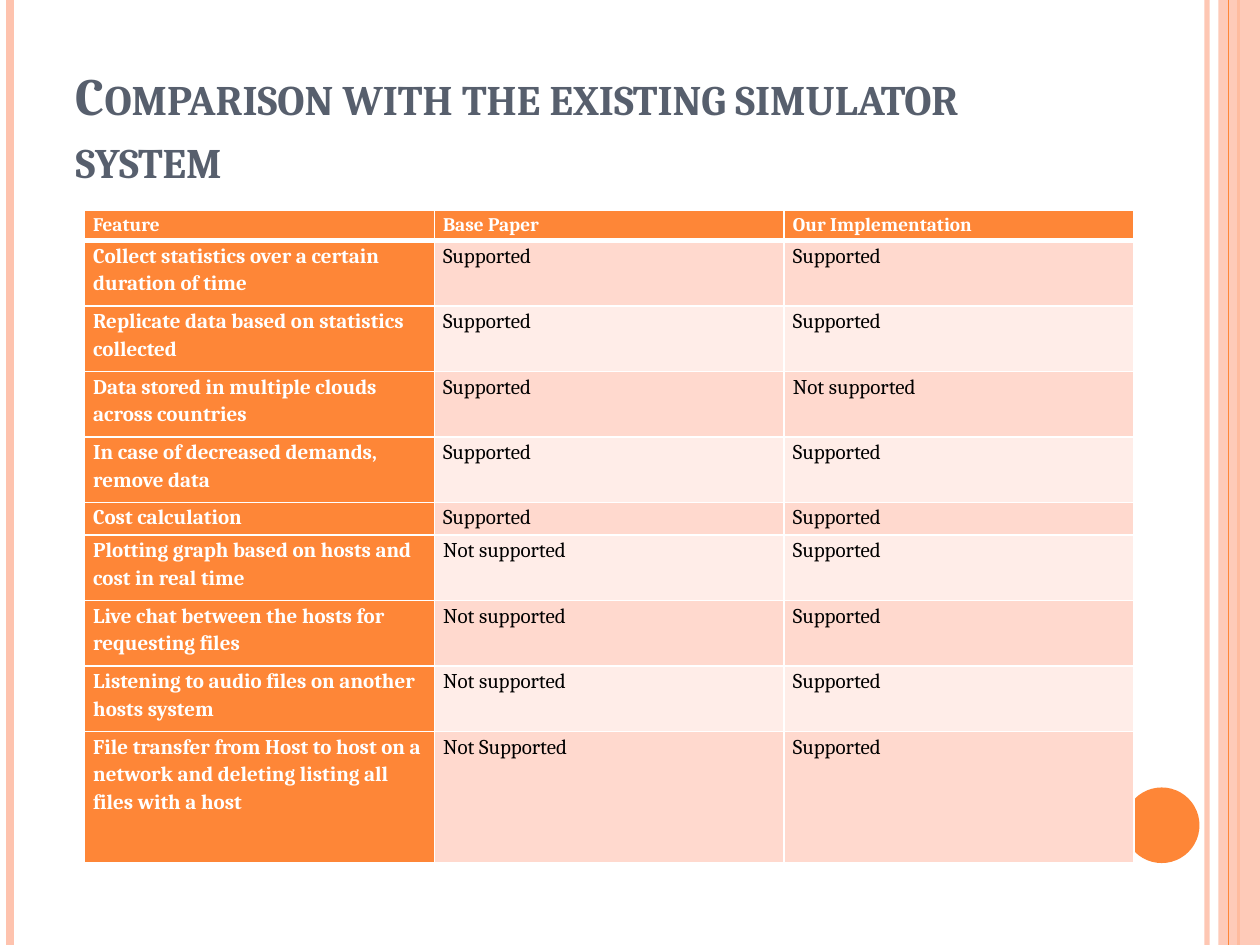
from lxml import etree
from pptx import Presentation
from pptx.dml.color import RGBColor
from pptx.enum.shapes import MSO_CONNECTOR, MSO_SHAPE
from pptx.enum.text import MSO_ANCHOR, PP_ALIGN
from pptx.oxml.ns import qn
from pptx.util import Inches, Pt

COLORS = {
    "orange": "FE8637", "peach": "FEC3AE", "slate": "575F6D",
    "band_dark": "FFD9CE", "band_light": "FFEDE8",
    "white": "FFFFFF", "black": "000000",
}
FONT = "Cambria"
YES, NO = "Supported", "Not supported"
ROWS = [
    ("Feature", "Base Paper", "Our Implementation"),
    ("Collect statistics over a certain duration of time", YES, YES),
    ("Replicate data based on statistics collected", YES, YES),
    ("Data stored in multiple clouds across countries", YES, NO),
    ("In case of decreased demands, remove data", YES, YES),
    ("Cost calculation", YES, YES),
    ("Plotting graph based on hosts and cost in real time", NO, YES),
    ("Live chat between the hosts for requesting files", NO, YES),
    ("Listening to audio files on another hosts system", NO, YES),
    ("File transfer from Host to host on a network and deleting listing all "
     "files with a host", "Not Supported", YES),
]
LINE_H = 0.26  # height of one text line in the table
ROW_LINES = [0.92, 2, 2, 2, 2, 1, 2, 2, 2, 4]


def rgb(name):
    return RGBColor.from_string(COLORS[name])


def set_alpha(parent, percent):
    color = parent.find(".//" + qn("a:srgbClr"))
    etree.SubElement(color, qn("a:alpha"), val=str(percent * 1000))


prs = Presentation()
prs.slide_width, prs.slide_height = Inches(10), Inches(7.5)
W, H = prs.slide_width, prs.slide_height
s = prs.slides.add_slide(prs.slide_layouts[5])

# Full-height vertical rules: x, colour, width, opacity
for x, color, width, alpha in [(9.58, "peach", 3, 93), (0.08, "peach", 4.5, 100),
                               (9.83, "orange", 1.5, 100), (9.75, "orange", 0.75, 100)]:
    rule = s.shapes.add_connector(MSO_CONNECTOR.STRAIGHT, Inches(x), 0, Inches(x), H)
    rule.line.color.rgb = rgb(color)
    rule.line.width = Pt(width)
    if alpha < 100:
        set_alpha(rule.line._ln, alpha)
    etree.SubElement(rule._element.spPr, qn("a:effectLst"))

# Side band on the right, below the last rule only
band = s.shapes.add_shape(MSO_SHAPE.RECTANGLE, Inches(9.67), 0, Inches(0.33), H)
band.shadow.inherit = False
band.fill.solid()
band.fill.fore_color.rgb = rgb("peach")
set_alpha(band.fill._xPr, 87)
band.line.fill.background()
rule._element.addprevious(band._element)

# Page-number disc
disc = s.shapes.add_shape(MSO_SHAPE.OVAL, Inches(8.92), Inches(6.25), Inches(0.6), Inches(0.6))
disc.shadow.inherit = False
disc.fill.solid()
disc.fill.fore_color.rgb = rgb("orange")
disc.line.fill.background()

# Title
title = s.shapes.title
title.left, title.top = int(W * 0.05), int(H * 0.04)
title.width, title.height = Inches(8.17), Inches(1.25)
tf = title.text_frame
tf.text = "Comparison with the existing simulator system"
tf.word_wrap = True
tf.vertical_anchor = MSO_ANCHOR.BOTTOM
p = tf.paragraphs[0]
p.alignment = PP_ALIGN.LEFT
r = p.runs[0]
r.font.name, r.font.size, r.font.bold = FONT, Pt(30), True
r.font.color.rgb = rgb("slate")
r.font._element.set("cap", "small")

# Comparison table
table = s.shapes.add_table(len(ROWS), 3, Inches(0.67), Inches(1.67),
                           Inches(8.33), Inches(LINE_H * sum(ROW_LINES))).table
for i, (texts, lines) in enumerate(zip(ROWS, ROW_LINES)):
    table.rows[i].height = Inches(LINE_H * lines)
    for j, text in enumerate(texts):
        heading = i == 0 or j == 0
        cell = table.cell(i, j)
        cell.margin_left = cell.margin_right = Inches(0.07)
        cell.margin_top = cell.margin_bottom = 0
        cell.fill.solid()
        cell.fill.fore_color.rgb = rgb(
            "orange" if heading else "band_dark" if i % 2 else "band_light")

        cell.text_frame.text = text
        p = cell.text_frame.paragraphs[0]
        p.line_spacing, p.space_before = 1.15, Pt(24)
        r = p.runs[0]
        r.font.name, r.font.bold = FONT, heading
        r.font.size = Pt(12 if i else 11)
        r.font.color.rgb = rgb("white" if heading else "black")

        # White borders, thicker along the header's lower edge
        tcPr = cell._tc.get_or_add_tcPr()
        for k, side in enumerate(("lnL", "lnR", "lnT", "lnB")):
            thick = (i, side) in ((0, "lnB"), (1, "lnT"))
            ln = etree.Element(qn("a:" + side), w=str(Pt(3 if thick else 1)))
            fill = etree.SubElement(ln, qn("a:solidFill"))
            etree.SubElement(fill, qn("a:srgbClr"), val=COLORS["white"])
            tcPr.insert(k, ln)

prs.save("out.pptx")
